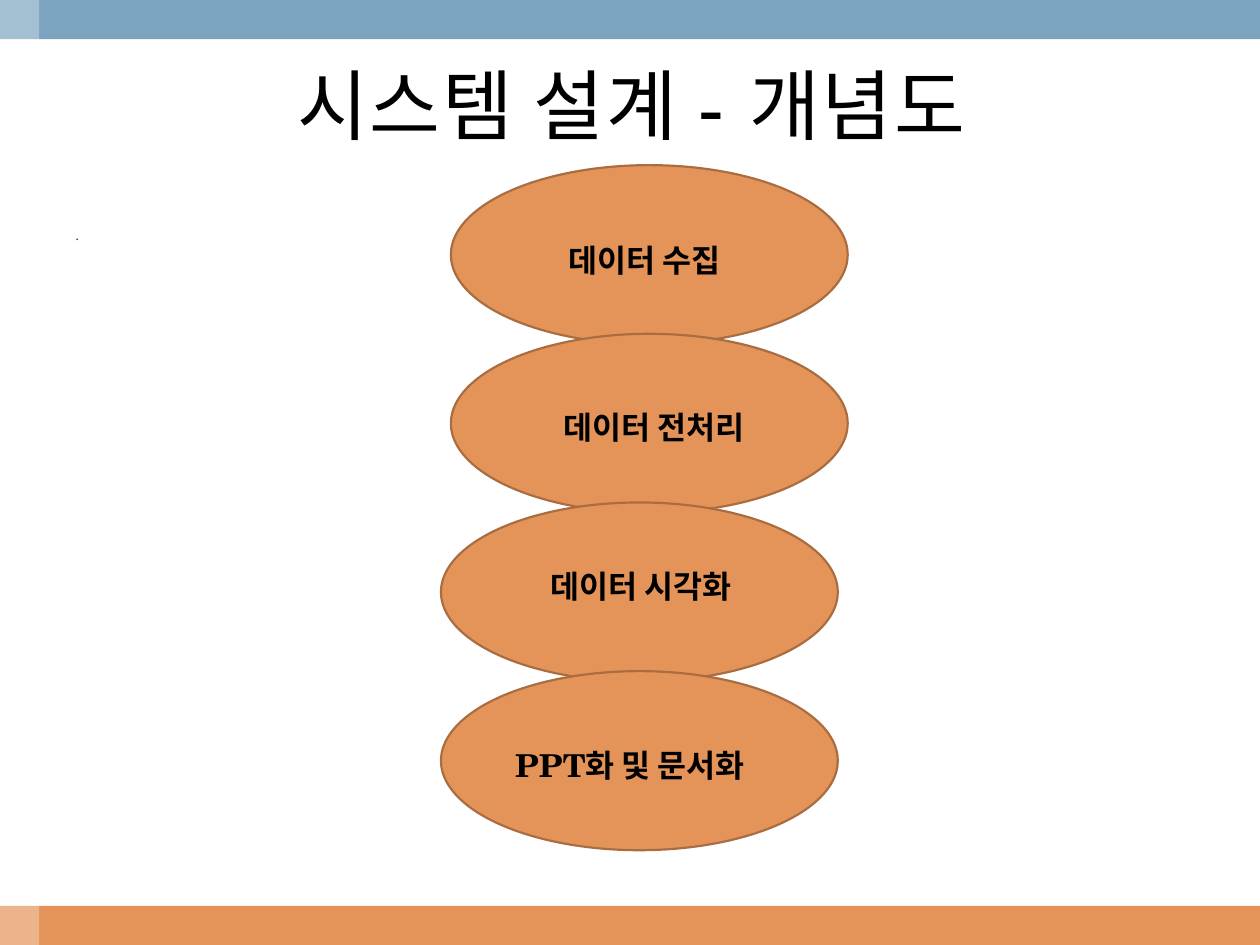
from lxml.etree import SubElement
from pptx import Presentation
from pptx.dml.color import RGBColor
from pptx.enum.shapes import MSO_SHAPE as Shape
from pptx.enum.text import MSO_ANCHOR as Anchor, PP_ALIGN as Align
from pptx.oxml.ns import qn
from pptx.util import Cm, Pt

COLORS = {
    "orange": "E49458",
    "outline": "A96D41",
    "blue": "7BA5BE",
    "white": "FFFFFF",
    "black": "000000",
    "brown": "433021",
}
WIDTH, HEIGHT, BAND = 25.4, 19.05, 0.79


def color(name):
    return RGBColor.from_string(COLORS[name])


class SlideBuilder:
    """Holds the style and the current slide."""

    font_name = "TeX Gyre Schola"

    def __init__(self, presentation):
        self.slide = presentation.slides.add_slide(presentation.slide_layouts[6])

    def shape(self, kind, box, fill, outline=None, opacity=None):
        shape = self.slide.shapes.add_shape(kind, *map(Cm, box))
        shape.shadow.inherit = False
        shape.fill.solid()
        shape.fill.fore_color.rgb = color(fill)
        if outline:
            shape.line.color.rgb = color(outline)
            shape.line.width = Pt(1.25)
        else:
            shape.line.fill.background()
        if opacity:
            fill_color = shape.fill._xPr.find(f"{qn('a:solidFill')}/{qn('a:srgbClr')}")
            SubElement(fill_color, qn("a:alpha"), val=str(opacity * 1000))

    def text(self, text, box, size, ink="black", bold=False,
             align=Align.CENTER, anchor=Anchor.TOP, tracking=None):
        frame = self.slide.shapes.add_textbox(*map(Cm, box)).text_frame
        frame.word_wrap = True
        frame.vertical_anchor = anchor
        paragraph = frame.paragraphs[0]
        paragraph.alignment = align
        run = paragraph.add_run()
        run.text = text
        formats = {"name": self.font_name, "size": Pt(size), "bold": bold}
        for attribute, value in formats.items():
            setattr(run.font, attribute, value)
        run.font.color.rgb = color(ink)
        if tracking:
            run._r.get_or_add_rPr().set("spc", str(tracking * 100))


def main():
    presentation = Presentation()
    presentation.slide_width = Cm(WIDTH)
    presentation.slide_height = Cm(HEIGHT)
    builder = SlideBuilder(presentation)

    # Bands at the bottom and top, with a pale strip on the left
    builder.shape(Shape.RECTANGLE, (0, HEIGHT - BAND, WIDTH, BAND), "orange")
    builder.shape(Shape.RECTANGLE, (0, 0, WIDTH, BAND), "blue")
    builder.shape(Shape.RECTANGLE, (0, 0, BAND, HEIGHT), "white", opacity=30)

    # Body and title
    builder.text(".", (1.27, 4.45, 22.86, 12.57), 8, "brown", align=Align.LEFT)
    builder.text("시스템 설계 - 개념도", (0.84, 0.79, 23.77, 2.62), 44,
                 anchor=Anchor.MIDDLE, tracking=1)

    # Steps: ellipse left, label text, label left, top and width
    steps = [
        (9.09, " 데이터 수집 ", 10.49, 3.94, 5.0),
        (9.09, "데이터 전처리", 10.69, 7.32, 5.0),
        (8.89, "데이터 시각화 ", 10.69, 10.52, 4.6),
        (8.89, "PPT화 및 문서화", 9.7, 14.12, 6.0),
    ]
    for index, (left, label, label_left, label_top, label_width) in enumerate(steps):
        top = 3.33 + index * 3.4
        builder.shape(Shape.OVAL, (left, top, 8, 3.61), "orange", "outline")
        builder.text(label, (label_left, label_top, label_width, 1.8), 18,
                     bold=True, anchor=Anchor.BOTTOM)

    presentation.save("out.pptx")


if __name__ == "__main__":
    main()
